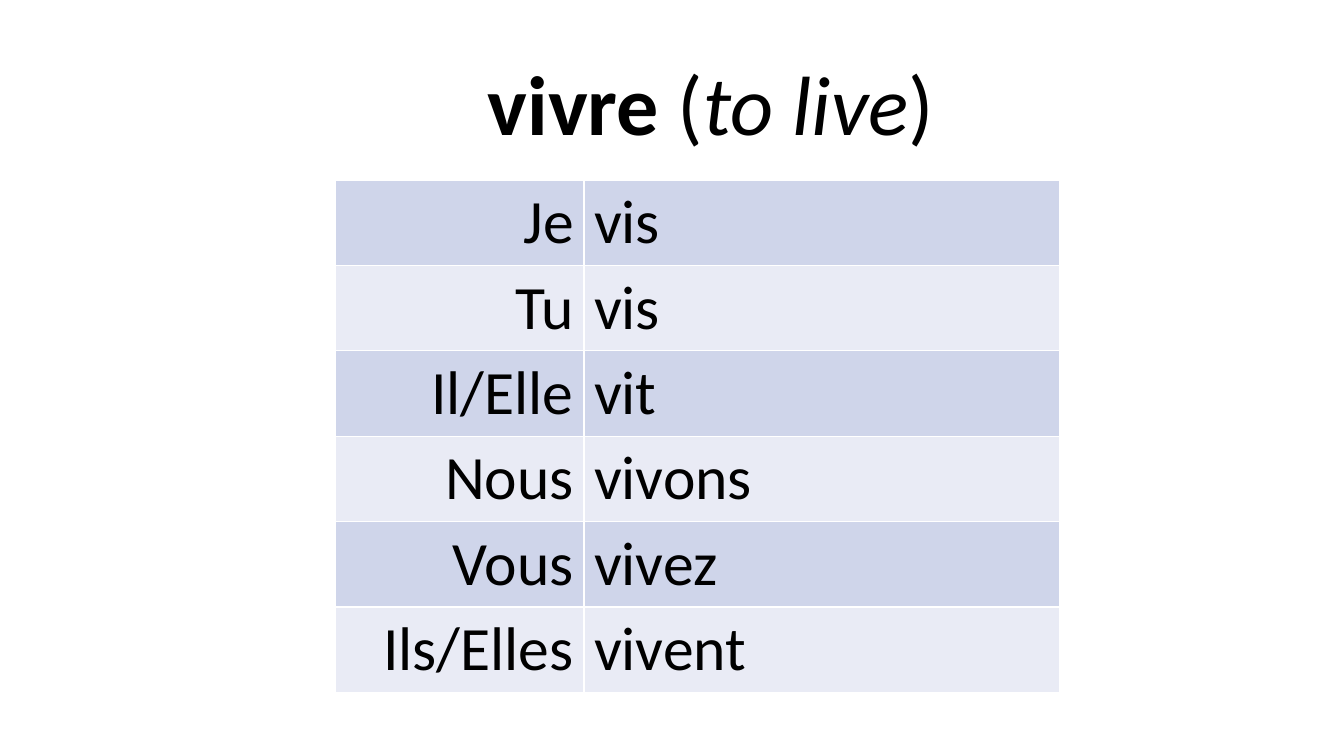
import pptx
import pptx.dml.color
import pptx.enum.text
import pptx.oxml
import pptx.oxml.ns
import pptx.util

EMU_PER_PX = 12192000 / 1344
FONT = "Calibri"
COLOURS = {"text": "000000", "border": "FFFFFF", "odd": "CFD5EA", "even": "E9EBF5"}
TITLE = [("vivre", True, False), (" (", False, False), ("to live", False, True), (")", False, False)]
CONJUGATION = [
    ("Je", "vis"),
    ("Tu", "vis"),
    ("Il/Elle", "vit"),
    ("Nous", "vivons"),
    ("Vous", "vivez"),
    ("Ils/Elles", "vivent"),
]
COLUMN_WIDTHS = [249, 476]
ROW_HEIGHT = 85


def px(length):
    """Turn a length in pixels into EMU."""
    return pptx.util.Emu(round(length * EMU_PER_PX))


def colour(name):
    """Look up a named colour."""
    return pptx.dml.color.RGBColor.from_string(COLOURS[name])


def style_font(para, size):
    """Set the common font of a paragraph."""
    para.font.name = FONT
    para.font.size = pptx.util.Pt(size)
    para.font.color.rgb = colour("text")


def add_title(page):
    """Place the title and write its bold and italic parts."""
    box = page.shapes.title
    box.left, box.top, box.width, box.height = map(px, (168, 44, 1086, 115))
    frame = box.text_frame
    frame.word_wrap = True
    frame.auto_size = pptx.enum.text.MSO_AUTO_SIZE.NONE
    frame.vertical_anchor = pptx.enum.text.MSO_ANCHOR.BOTTOM
    para = frame.paragraphs[0]
    para.alignment = pptx.enum.text.PP_ALIGN.CENTER
    para.line_spacing = 0.9
    style_font(para, 60)
    for text, bold, italic in TITLE:
        span = para.add_run()
        span.text = text
        span.font.bold = bold
        span.font.italic = italic


def add_borders(cell):
    """Draw a thin line on each side of a cell."""
    properties = cell._tc.get_or_add_tcPr()
    for position, side in enumerate(("lnL", "lnR", "lnT", "lnB")):
        line = pptx.oxml.parse_xml(
            f'<a:{side} {pptx.oxml.ns.nsdecls("a")} w="12700"><a:solidFill>'
            f'<a:srgbClr val="{COLOURS["border"]}"/></a:solidFill></a:{side}>'
        )
        properties.insert(position, line)


def fill_cell(cell, text, alignment, fill):
    """Write and format one table cell."""
    cell.text = text
    para = cell.text_frame.paragraphs[0]
    para.alignment = alignment
    style_font(para, 44)
    cell.fill.solid()
    cell.fill.fore_color.rgb = colour(fill)
    add_borders(cell)


def add_conjugation(page):
    """Add the table of pronouns and verb forms."""
    rows, columns = len(CONJUGATION), len(COLUMN_WIDTHS)
    frame = page.shapes.add_table(
        rows, columns, px(335), px(180), px(sum(COLUMN_WIDTHS)), px(rows * ROW_HEIGHT)
    )
    table = frame.table
    table.first_row = False
    for column, width in zip(table.columns, COLUMN_WIDTHS):
        column.width = px(width)
    alignments = (pptx.enum.text.PP_ALIGN.RIGHT, pptx.enum.text.PP_ALIGN.LEFT)
    for index, (row, texts) in enumerate(zip(table.rows, CONJUGATION)):
        row.height = px(ROW_HEIGHT)
        fill = "even" if index % 2 else "odd"
        for cell, text, alignment in zip(row.cells, texts, alignments):
            fill_cell(cell, text, alignment, fill)


def main():
    """Build the slide and save the deck."""
    deck = pptx.Presentation()
    deck.slide_width, deck.slide_height = px(1344), px(756)
    page = deck.slides.add_slide(deck.slide_layouts[5])
    add_title(page)
    add_conjugation(page)
    deck.save("out.pptx")


if __name__ == "__main__":
    main()
